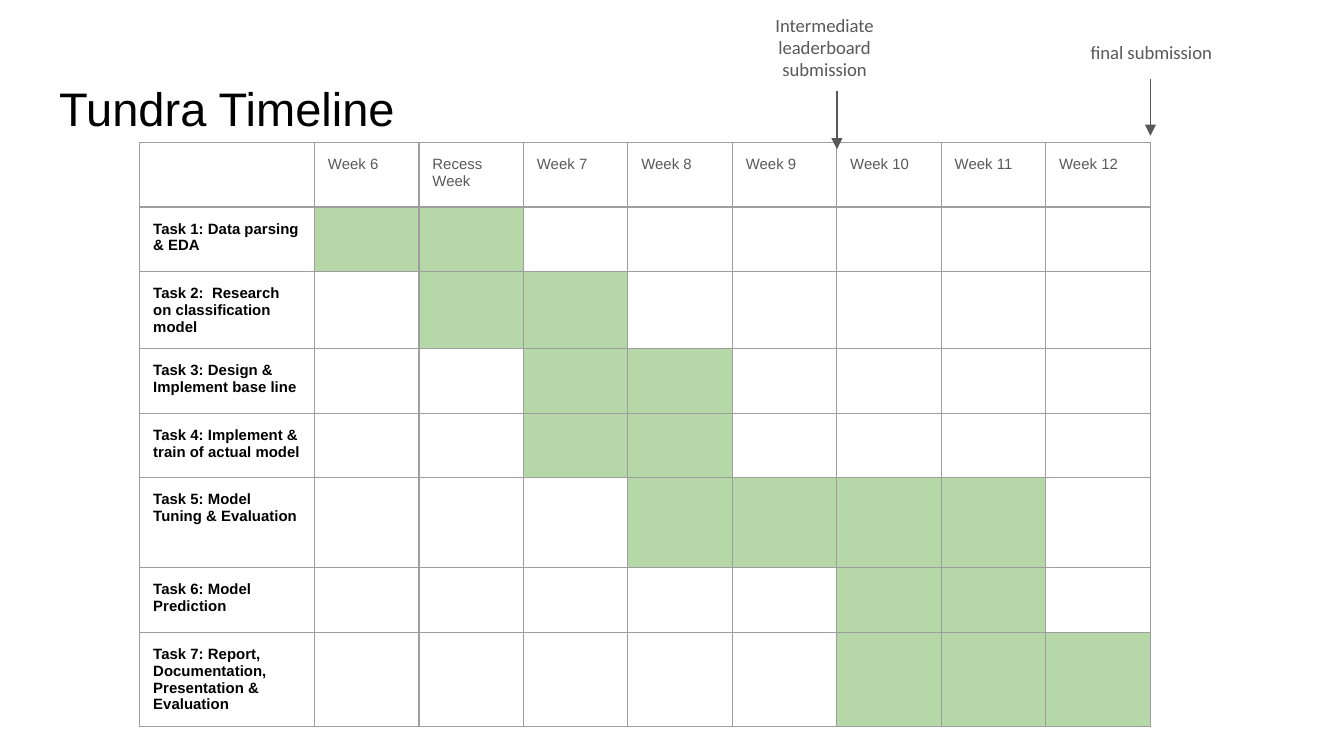
from lxml import etree
from pptx import Presentation, util as u
from pptx.dml.color import RGBColor
from pptx.enum import shapes, text
from pptx.oxml import ns

# Content: task, row height, first and last active week
TITLE = "Tundra Timeline"
WEEKS = ["Week 6", "Recess Week", "Week 7", "Week 8",
         "Week 9", "Week 10", "Week 11", "Week 12"]
TASKS = [
    ("Task 1: Data parsing & EDA", 0.48, 1, 2),
    ("Task 2:  Research on classification model", 0.57, 2, 3),
    ("Task 3: Design & Implement base line", 0.48, 3, 4),
    ("Task 4: Implement & train of actual model", 0.48, 3, 4),
    ("Task 5: Model Tuning & Evaluation", 0.67, 4, 7),
    ("Task 6: Model Prediction", 0.48, 6, 7),
    ("Task 7: Report, Documentation, Presentation & Evaluation", 0.7, 6, 8),
]
# Milestone: label, weeks elapsed, label left, top, height, arrow start, end
MARKS = [
    ("Intermediate leaderboard submission", 5, 5.51, 0, 0.71, 0.68, 1.11),
    ("final submission", 8, 7.94, 0.22, 0.37, 0.59, 1.01),
]
COLORS = {"ink": "000000", "gray": "595959", "grid": "9E9E9E",
          "busy": "B6D7A8", "free": "FFFFFF"}

# Grid
WIDTH = 10
HEIGHT = WIDTH * 9 / 16
LEFT, TOP, WIDE, HEAD = 1.04, 1.06, 7.52, 0.48
FIRST = 1.3
STEP = (WIDE - FIRST) / len(WEEKS)
PAD = u.Inches(0.1)


def color(name):
    return RGBColor.from_string(COLORS[name])


def style(frame, size, face, tone, bold=False):
    for run in frame.paragraphs[0].runs:
        run.font.size, run.font.name, run.font.bold = u.Pt(size), face, bold
        run.font.color.rgb = color(tone)


def inset(part):
    part.margin_left = part.margin_right = PAD
    part.margin_top = part.margin_bottom = PAD


def border(cell):
    props = cell._tc.get_or_add_tcPr()
    for side in ("lnL", "lnR", "lnT", "lnB"):
        line = etree.SubElement(props, ns.qn("a:" + side), w=str(u.Pt(0.75)))
        fill = etree.SubElement(line, ns.qn("a:solidFill"))
        etree.SubElement(fill, ns.qn("a:srgbClr"), val=COLORS["grid"])


def put(cell, words, tone, bold, fill):
    inset(cell)
    border(cell)
    cell.fill.solid()
    cell.fill.fore_color.rgb = color(fill)
    if words:
        cell.text_frame.text = words
        style(cell.text_frame, 8, "Arial", tone, bold)
    else:  # keep empty cells from stretching their row
        para = cell.text_frame.paragraphs[0]._p
        etree.SubElement(para, ns.qn("a:endParaRPr"), sz="800")


deck = Presentation()
deck.slide_width, deck.slide_height = u.Inches(WIDTH), u.Inches(HEIGHT)
slide = deck.slides.add_slide(deck.slide_layouts[5])

# Title
title = slide.shapes.title
title.left, title.top, title.width, title.height = map(
    u.Inches, (0.34, 0.49, 9.32, 0.63))
frame = title.text_frame
frame.text = TITLE
inset(frame)
frame.auto_size = text.MSO_AUTO_SIZE.NONE
frame.vertical_anchor = text.MSO_ANCHOR.MIDDLE
frame.paragraphs[0].alignment = text.PP_ALIGN.LEFT
style(frame, 25.2, "Arial", "ink")

# Timeline table
highs = [HEAD] + [task[1] for task in TASKS]
table = slide.shapes.add_table(
    len(highs), len(WEEKS) + 1, u.Inches(LEFT), u.Inches(TOP),
    u.Inches(WIDE), u.Inches(sum(highs))).table
table.first_row = table.horz_banding = False
for row, high in zip(table.rows, highs):
    row.height = u.Inches(high)
for i, col in enumerate(table.columns):
    col.width = u.Inches(STEP if i else FIRST)

for c, week in enumerate([""] + WEEKS):
    put(table.cell(0, c), week, "gray", False, "free")
for r, (name, _, start, end) in enumerate(TASKS, 1):
    put(table.cell(r, 0), name, "ink", True, "free")
    for c in range(1, len(WEEKS) + 1):
        put(table.cell(r, c), "", "ink", False,
            "busy" if start <= c <= end else "free")

# Milestone labels and arrows
for name, week, left, top, high, start, end in MARKS:
    x = u.Inches(LEFT + FIRST + week * STEP)
    arrow = slide.shapes.add_connector(
        shapes.MSO_CONNECTOR.STRAIGHT, x, u.Inches(start), x, u.Inches(end))
    arrow.line.color.rgb = color("gray")
    arrow.line.width = u.Pt(0.75)
    etree.SubElement(arrow.line._get_or_add_ln(), ns.qn("a:tailEnd"),
                     type="triangle")
    etree.SubElement(arrow._element.spPr, ns.qn("a:effectLst"))

    box = slide.shapes.add_textbox(
        *map(u.Inches, (left, top, 1.25, high)))
    frame = box.text_frame
    frame.text = name
    frame.word_wrap = True
    frame.auto_size = text.MSO_AUTO_SIZE.SHAPE_TO_FIT_TEXT
    inset(frame)
    frame.paragraphs[0].alignment = text.PP_ALIGN.CENTER
    style(frame, 10, "Calibri", "gray")

deck.save("out.pptx")
